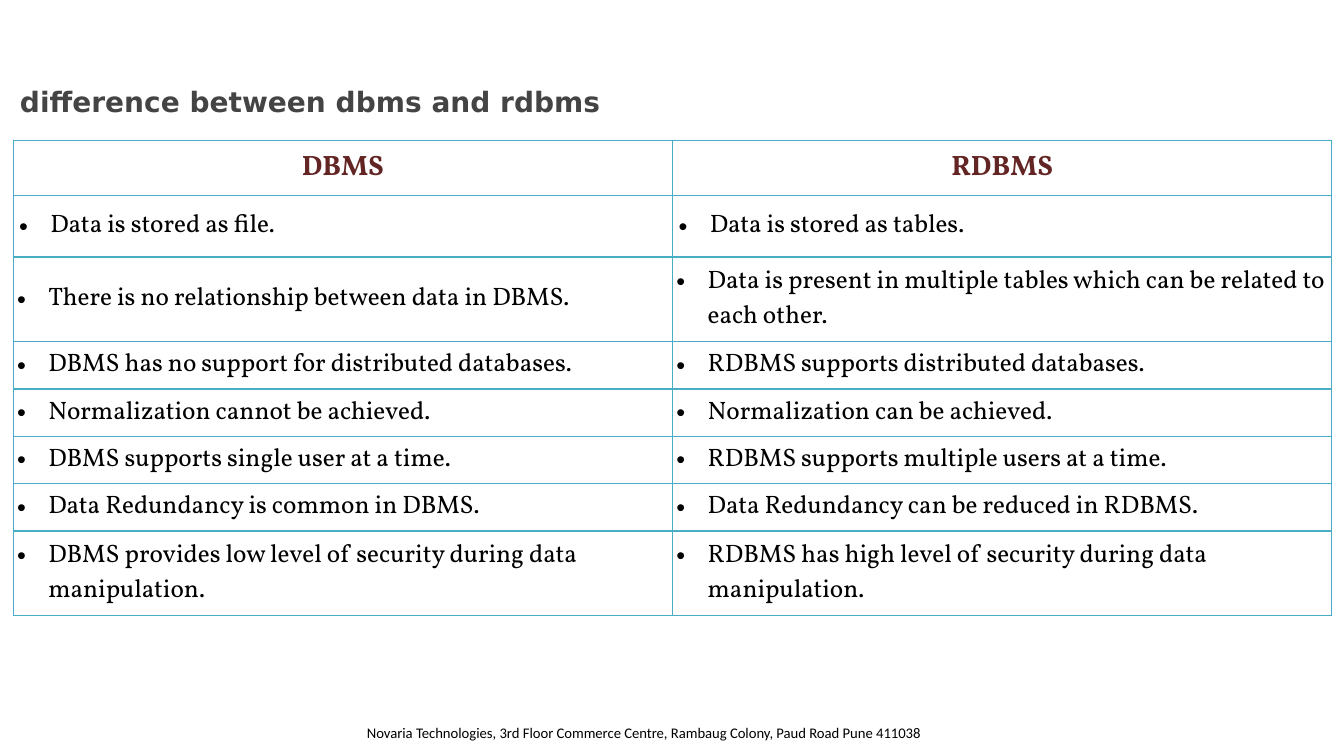
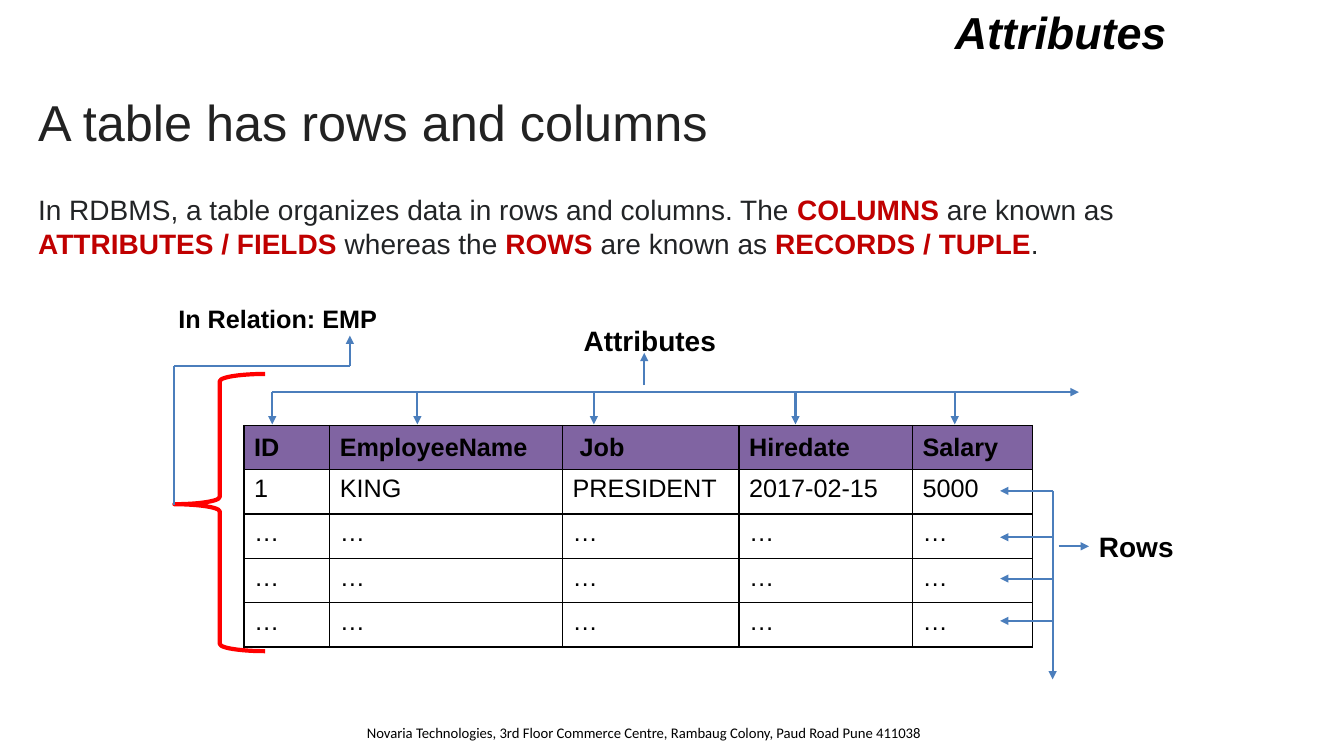
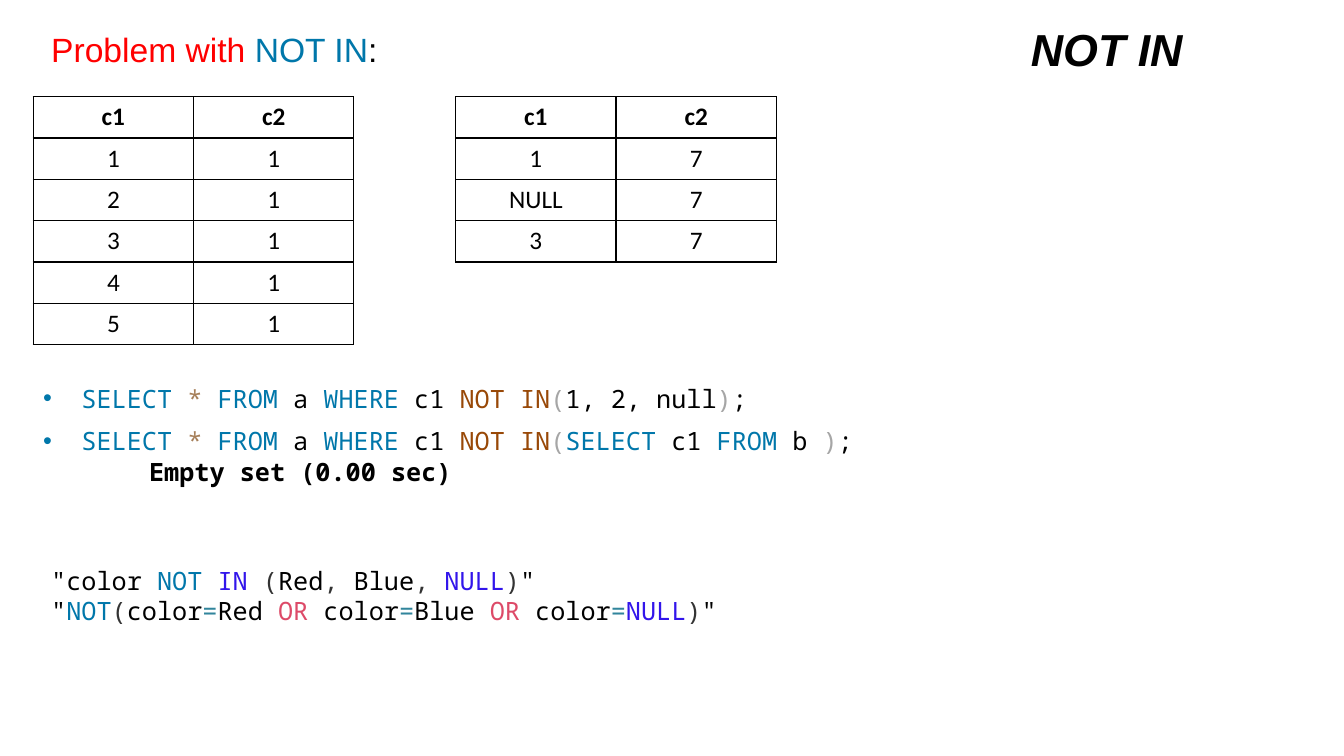
from lxml import etree
from pptx import Presentation
from pptx.dml.color import RGBColor
from pptx.enum.shapes import MSO_CONNECTOR as Connector, MSO_SHAPE as Preset
from pptx.enum.text import MSO_ANCHOR as Anchor, PP_ALIGN as Align
from pptx.oxml import parse_xml
from pptx.oxml.ns import nsdecls, qn
from pptx.util import Inches, Pt

BLACK, RED = "000000", "FF0000"
MAROON, DARK, BODY, CRIMSON = "632523", "444444", "222426", "C00000"
TEAL, PURPLE, ARROW = "4BACC6", "8064A2", "4B7EBC"
KEYWORD, STAR, CLAUSE, FAINT = "0077AA", "A67F59", "984807", "A6A6A6"
VALUE, MARK, OPERATOR, EQUALS = "3215EB", "333333", "DD4A68", "31859C"
SANS, SERIF, MONO, TABLE_FONT = "Arial", "Vollkorn", "Noto Sans Mono", "Calibri"

FOOTER = "Novaria Technologies, 3rd Floor Commerce Centre, Rambaug Colony, Paud Road Pune 411038"

COMPARISON = [
    ("DBMS", "RDBMS"),
    ("Data is stored as file.", "Data is stored as tables."),
    ("There is no relationship between data in DBMS.",
     "Data is present in multiple tables which can be related to each other."),
    ("DBMS has no support for distributed databases.", "RDBMS supports distributed databases."),
    ("Normalization cannot be achieved.", "Normalization can be achieved."),
    ("DBMS supports single user at a time.", "RDBMS supports multiple users at a time."),
    ("Data Redundancy is common in DBMS.", "Data Redundancy can be reduced in RDBMS."),
    ("DBMS provides low level of security during data manipulation.",
     "RDBMS has high level of security during data manipulation."),
]
COMPARISON_HEIGHTS = [0.55, 0.61, 0.84, 0.47, 0.47, 0.47, 0.47, 0.84]

INTRODUCTION = [
    ("In RDBMS, a table organizes data in rows and columns. The ", BODY),
    ("COLUMNS ", CRIMSON, True), ("are known as ", BODY),
    ("ATTRIBUTES / FIELDS ", CRIMSON, True), ("whereas the ", BODY),
    ("ROWS ", CRIMSON, True), ("are known as ", BODY),
    ("RECORDS / TUPLE", CRIMSON, True), (".", BODY),
]
EMPLOYEES = [
    ("ID", "EmployeeName", "Job", "Hiredate", "Salary"),
    ("1", "KING", "PRESIDENT", "2017-02-15", "5000"),
] + [("…",) * 5] * 3
EMPLOYEE_WIDTHS = [0.85, 2.31, 1.75, 1.72, 1.19]
ATTRIBUTE_ARROWS = [2.7, 4.14, 5.89, 7.89, 9.47]
ROW_ARROWS = [4.87, 5.33, 5.74, 6.16]

TABLE_A = [("c1", "c2")] + [(str(number), "1") for number in range(1, 6)]
TABLE_B = [("c1", "c2"), ("1", "7"), ("NULL", "7"), ("3", "7")]

PROBLEM = [("Problem with ", RED), ("NOT IN", KEYWORD), (":", BLACK)]
QUERY_START = [
    ("SELECT ", KEYWORD), ("* ", STAR), ("FROM", KEYWORD), (" a ", BLACK),
    ("WHERE", KEYWORD), (" c1 ", BLACK), ("NOT IN", CLAUSE), ("(", FAINT),
]
QUERY_END = [(")", FAINT), (";", BLACK)]
QUERIES = [
    QUERY_START + [("1, 2, null", BLACK)] + QUERY_END,
    QUERY_START + [("SELECT ", KEYWORD), ("c1", BLACK), (" FROM ", KEYWORD), ("b ", BLACK)]
    + QUERY_END,
    [("Empty set (0.00 sec)", BLACK, True)],
]
CONDITIONS = [
    [('"color ', BLACK), ("NOT ", KEYWORD), ("IN ", VALUE), ("(", MARK), ("Red", BLACK),
     (", ", MARK), ("Blue", BLACK), (", ", MARK), ("NULL", VALUE), (")", MARK), ('"', BLACK)],
    [('"', BLACK), ("NOT", KEYWORD), ("(", MARK), ("color", BLACK), ("=", EQUALS),
     ("Red ", BLACK), ("OR ", OPERATOR), ("color", BLACK), ("=", EQUALS),
     ("Blue ", BLACK), ("OR ", OPERATOR), ("color", BLACK), ("=", EQUALS),
     ("NULL", VALUE), (")", MARK), ('"', BLACK)],
]


def color(value):
    return RGBColor.from_string(value)


def write_runs(paragraph, runs, font, size, italic=False, align=Align.LEFT):
    paragraph.alignment = align
    for text, text_color, *bold in runs:
        run = paragraph.add_run()
        run.text = text
        run.font.name = font
        run.font.size = Pt(size)
        run.font.bold = bool(bold and bold[0])
        run.font.italic = italic
        run.font.color.rgb = color(text_color)


def indent(paragraph, left, hanging=0, bullet_color=None):
    properties = paragraph._p.get_or_add_pPr()
    properties.set("marL", str(Inches(left)))
    properties.set("indent", str(-Inches(hanging)))
    if bullet_color:
        tint = etree.SubElement(properties, qn("a:buClr"))
        etree.SubElement(tint, qn("a:srgbClr")).set("val", bullet_color)
        etree.SubElement(properties, qn("a:buFont")).set("typeface", SANS)
        etree.SubElement(properties, qn("a:buChar")).set("char", "•")


def add_text(slide, box, lines, font, size, wrap=True, **style):
    shape = slide.shapes.add_textbox(*map(Inches, box))
    frame = shape.text_frame
    frame.word_wrap = wrap
    for index, runs in enumerate(lines):
        paragraph = frame.add_paragraph() if index else frame.paragraphs[0]
        write_runs(paragraph, runs, font, size, **style)
    return shape


def add_label(slide, box, text, size=20):
    return add_text(slide, box, [[(text, BLACK, True)]], SANS, size, wrap=False)


def add_topic(slide, left, top, text):
    add_text(slide, (left, top, 10, 0.64), [[(text, BLACK, True)]], SANS, 32,
             italic=True, align=Align.RIGHT)


def add_footer(slide):
    add_text(slide, (3.54, 7.13, 5.91, 0.4), [[(FOOTER, BLACK)]], TABLE_FONT, 10.5)


def add_borders(cell, line_color):
    properties = cell._tc.get_or_add_tcPr()
    for index, side in enumerate("LRTB"):
        properties.insert(index, parse_xml(
            f'<a:ln{side} {nsdecls("a")} w="12700"><a:solidFill>'
            f'<a:srgbClr val="{line_color}"/></a:solidFill></a:ln{side}>'))


def add_grid(slide, left, top, widths, heights, rows, font, border=BLACK, size=18,
             header_size=18, header_color=BLACK, header_fill=None,
             align=Align.LEFT, header_align=None):
    table = slide.shapes.add_table(
        len(rows), len(widths), Inches(left), Inches(top),
        Inches(sum(widths)), Inches(sum(heights))).table
    table.first_row = table.horz_banding = False
    for column, width in zip(table.columns, widths):
        column.width = Inches(width)
    for row_index, (values, height) in enumerate(zip(rows, heights)):
        table.rows[row_index].height = Inches(height)
        header = row_index == 0
        for cell, value in zip(table.rows[row_index].cells, values):
            runs = [(value, header_color if header else BLACK, header)]
            write_runs(cell.text_frame.paragraphs[0], runs, font,
                       header_size if header else size,
                       align=header_align or align if header else align)
            if header and header_fill:
                cell.fill.solid()
                cell.fill.fore_color.rgb = color(header_fill)
            else:
                cell.fill.background()
            add_borders(cell, border)
    return table


def add_line(slide, start, end, arrow=True):
    line = slide.shapes.add_connector(Connector.STRAIGHT, *map(Inches, start + end))
    line.line.color.rgb = color(ARROW)
    line.line.width = Pt(1.5)
    if arrow:
        etree.SubElement(line.line._get_or_add_ln(), qn("a:tailEnd")).set("type", "triangle")
    etree.SubElement(line._element.spPr, qn("a:effectLst"))
    return line


def build_comparison(slide):
    add_text(slide, (0.1, 0.79, 5.97, 0.44),
             [[("difference between dbms and rdbms", DARK, True)]], "DejaVu Sans", 20, wrap=False)
    table = add_grid(slide, 0.13, 1.39, [6.54, 6.54], COMPARISON_HEIGHTS, COMPARISON, SERIF,
                     border=TEAL, header_size=20, header_color=MAROON,
                     header_align=Align.CENTER)
    for row_index, row in enumerate(table.rows):
        margin = Inches(0.06 if row_index < 2 else 0.04)
        for cell in row.cells:
            cell.vertical_anchor = Anchor.MIDDLE
            cell.margin_left = cell.margin_right = margin
            cell.margin_top = cell.margin_bottom = margin
            if row_index:
                indent(cell.text_frame.paragraphs[0], 0.31, 0.31, BLACK)
    add_footer(slide)


def build_attributes(slide):
    add_text(slide, (0.28, 0.85, 9.67, 0.71),
             [[("A table has rows and columns", "222222")]], SANS, 36)
    add_topic(slide, 1.67, 0, "Attributes")
    add_text(slide, (0.28, 1.86, 12.6, 0.77), [INTRODUCTION], SANS, 20)

    table = add_grid(slide, 2.42, 4.22, EMPLOYEE_WIDTHS, [0.44] * 5, EMPLOYEES, SANS,
                     header_fill=PURPLE)
    for cell in table.rows[0].cells:
        cell.vertical_anchor = Anchor.MIDDLE
    table.cell(0, 2).margin_left = Inches(0.17)

    add_label(slide, (5.69, 3.16, 1.53, 0.44), "Attributes")
    rows_label = add_label(slide, (10.8, 5.2, 0.95, 0.44), "Rows")
    add_label(slide, (1.67, 2.96, 2.19, 0.4), "In Relation: EMP", 18)

    brace = slide.shapes.add_shape(Preset.LEFT_BRACE, *map(Inches, (1.73, 3.71, 0.9, 2.75)))
    brace.shadow.inherit = False
    brace.fill.background()
    brace.line.color.rgb = color(RED)
    brace.line.width = Pt(3)
    brace.adjustments[0], brace.adjustments[1] = 0.08, 0.47

    add_line(slide, (1.73, 5.01), (1.73, 3.63), arrow=False)
    add_line(slide, (3.47, 3.63), (1.73, 3.63), arrow=False)
    add_line(slide, (3.47, 3.63), (3.47, 3.33))

    add_line(slide, (10.5, 5.42), (10.8, 5.42)).end_connect(rows_label, 1)
    for y in ROW_ARROWS:
        add_line(slide, (10.44, y), (9.92, y))
    add_line(slide, (10.44, ROW_ARROWS[0]), (10.44, 6.74))

    add_line(slide, (6.39, 3.82), (6.39, 3.5))
    for x in ATTRIBUTE_ARROWS:
        add_line(slide, (x, 3.89), (x, 4.21))
    add_line(slide, (ATTRIBUTE_ARROWS[0], 3.89), (10.7, 3.89))
    add_footer(slide)


def build_not_in(slide):
    add_topic(slide, 1.83, 0.17, "NOT IN")
    heading = add_text(slide, (0.41, 0.04, 12.36, 0.64), [PROBLEM], SANS, 24)
    heading.text_frame.paragraphs[0].line_spacing = 1.5

    queries = add_text(slide, (0.33, 3.75, 12.99, 1.14), QUERIES, MONO, 18)
    first, second, result = queries.text_frame.paragraphs
    second.space_before = Pt(9)
    for paragraph in (first, second):
        indent(paragraph, 0.38, 0.38, KEYWORD)
    indent(result, 1.05)

    for left, rows in ((0.33, TABLE_A), (4.52, TABLE_B)):
        add_grid(slide, left, 0.96, [1.59] * 2, [0.41] * len(rows), rows, TABLE_FONT,
                 align=Align.CENTER)
    add_text(slide, (0.41, 5.56, 9.29, 0.71), CONDITIONS, MONO, 18)


def main():
    presentation = Presentation()
    presentation.slide_width = Inches(13.33)
    presentation.slide_height = Inches(7.5)
    for build in (build_comparison, build_attributes, build_not_in):
        build(presentation.slides.add_slide(presentation.slide_layouts[6]))
    presentation.save("out.pptx")


if __name__ == "__main__":
    main()
